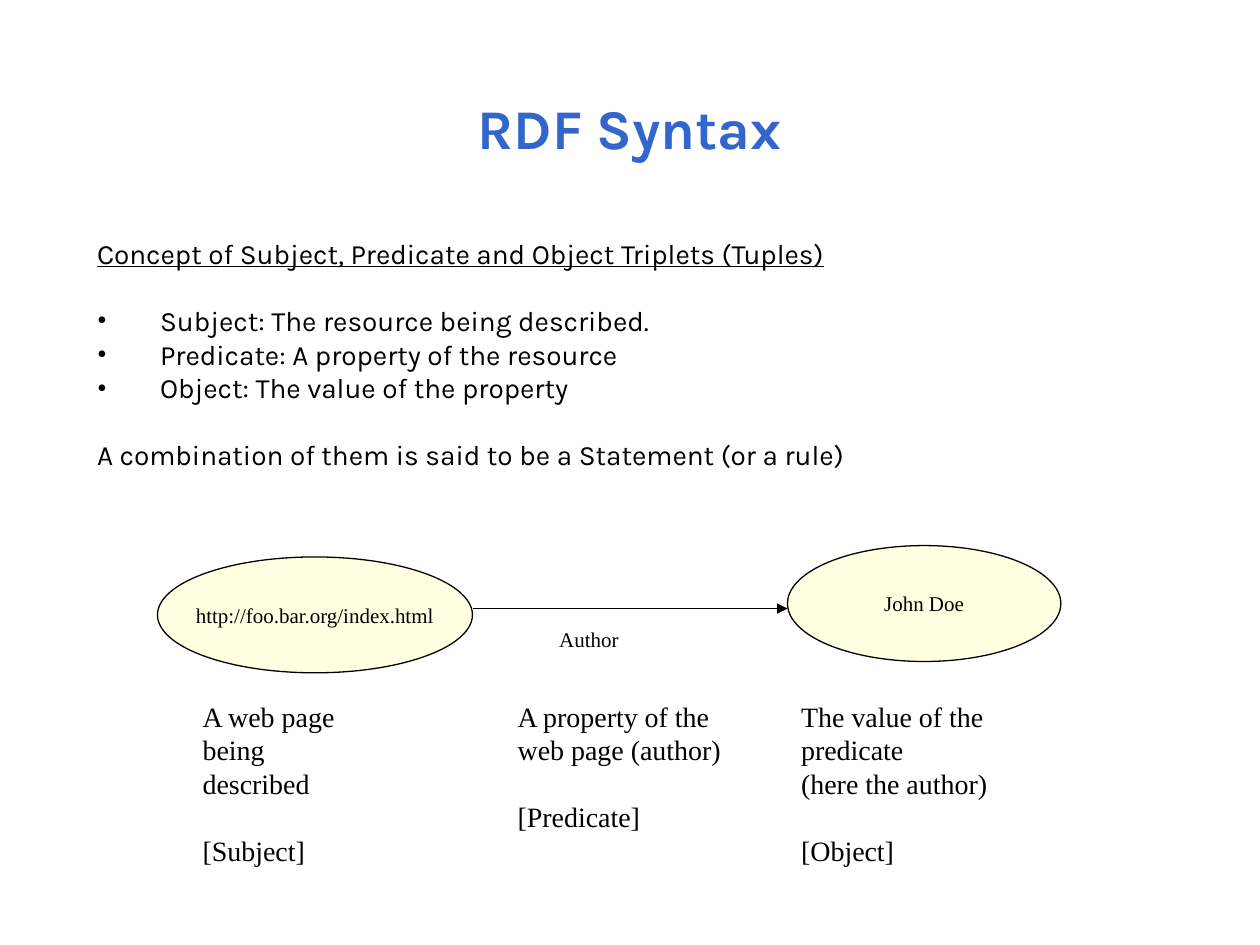
from lxml import etree
from pptx import Presentation
from pptx import util as u
from pptx.dml.color import RGBColor
from pptx.enum import shapes, text
from pptx.oxml.ns import qn

BLACK, BLUE, CREAM = "000000", "3366CC", "FFFFE1"
SANS, SERIF = "Karla", "Times New Roman"


def color(value):
    return RGBColor.from_string(value)


def set_bullet(paragraph, character=None):
    properties = paragraph._p.get_or_add_pPr()
    if character is None:
        etree.SubElement(properties, qn("a:buNone"))
        return
    bullet_color = etree.SubElement(properties, qn("a:buClr"))
    etree.SubElement(bullet_color, qn("a:srgbClr"), val=BLACK)
    etree.SubElement(properties, qn("a:buFont"), typeface=SERIF)
    etree.SubElement(properties, qn("a:buChar"), char=character)


def write(paragraph, content, size=16, font=SERIF, fill=BLACK, bold=False,
          underline=False, align=text.PP_ALIGN.LEFT, before=0):
    paragraph.alignment = align
    paragraph.space_before = u.Pt(before)
    run = paragraph.add_run()
    run.text = content
    run.font.size = u.Pt(size)
    run.font.name = font
    run.font.bold = bold
    run.font.underline = underline
    run.font.color.rgb = color(fill)


class SlideBuilder:
    line_width = u.Pt(0.75)
    gap = 19  # one line of 16 point text

    def __init__(self, slide):
        self.slide = slide

    def place(self, shape, left, top, width, height):
        shape.left, shape.top = u.Inches(left), u.Inches(top)
        shape.width, shape.height = u.Inches(width), u.Inches(height)

    def title(self, content, *box):
        shape = self.slide.shapes.title
        self.place(shape, *box)
        frame = shape.text_frame
        frame.auto_size = text.MSO_AUTO_SIZE.NONE
        frame.vertical_anchor = text.MSO_ANCHOR.MIDDLE
        write(frame.paragraphs[0], content, size=32, font=SANS, fill=BLUE,
              bold=True, align=text.PP_ALIGN.CENTER)

    def body(self, lines, *box):
        shape = self.slide.placeholders[1]
        self.place(shape, *box)
        frame = shape.text_frame
        frame.auto_size = text.MSO_AUTO_SIZE.NONE
        for index, (content, bullet, style) in enumerate(lines):
            paragraph = frame.add_paragraph() if index else frame.paragraphs[0]
            properties = paragraph._p.get_or_add_pPr()
            properties.set("marL", str(u.Inches(0.5)))
            properties.set("indent", str(-u.Inches(0.5)))
            set_bullet(paragraph, bullet)
            write(paragraph, content, font=SANS, **style)

    def ellipse(self, content, *box):
        shape = self.slide.shapes.add_shape(
            shapes.MSO_SHAPE.OVAL, *map(u.Inches, box))
        shape.shadow.inherit = False
        shape.fill.solid()
        shape.fill.fore_color.rgb = color(CREAM)
        shape.line.color.rgb = color(BLACK)
        shape.line.width = self.line_width
        frame = shape.text_frame
        frame.word_wrap = False
        frame.vertical_anchor = text.MSO_ANCHOR.MIDDLE
        write(frame.paragraphs[0], content, size=12,
              align=text.PP_ALIGN.CENTER)

    def arrow(self, *ends):
        connector = self.slide.shapes.add_connector(
            shapes.MSO_CONNECTOR.STRAIGHT, *map(u.Inches, ends))
        connector.line.color.rgb = color(BLACK)
        connector.line.width = self.line_width
        etree.SubElement(connector.line._get_or_add_ln(), qn("a:tailEnd"),
                         type="triangle")
        etree.SubElement(connector._element.spPr, qn("a:effectLst"))

    def label(self, lines, *box, size=16):
        shape = self.slide.shapes.add_textbox(*map(u.Inches, box))
        frame = shape.text_frame
        frame.word_wrap = False
        for index, (content, before) in enumerate(lines):
            paragraph = frame.add_paragraph() if index else frame.paragraphs[0]
            write(paragraph, content, size=size, before=before)


def main():
    presentation = Presentation()
    presentation.slide_width = u.Inches(10)
    presentation.slide_height = u.Inches(7.5)
    slide = presentation.slides.add_slide(presentation.slide_layouts[1])
    builder = SlideBuilder(slide)
    gap = builder.gap

    # Title and definitions
    builder.title("RDF Syntax", 0.75, 0.67, 8.5, 0.67)
    builder.body([
        ("Concept of Subject, Predicate and Object Triplets (Tuples)", None,
         {"underline": True}),
        ("Subject: The resource being described.", "•", {"before": gap}),
        ("Predicate: A property of the resource", "•", {}),
        ("Object: The value of the property", "•", {}),
        ("A combination of them is said to be a Statement (or a rule)", None,
         {"before": gap}),
    ], 0.67, 1.83, 6.5, 1.97)

    # Subject, predicate arrow and object
    builder.ellipse("http://foo.bar.org/index.html", 1.25, 4.42, 2.5, 0.92)
    builder.arrow(3.75, 4.83, 6.25, 4.83)
    builder.ellipse("John Doe", 6.25, 4.33, 2.17, 0.92)
    builder.label([("Author", 0)], 4.34, 4.92, 0.67, 0.3, size=12)

    # Explanations below the diagram
    explanations = [
        (1.51, 1.59, "A web page", "being described", "[Subject]"),
        (4.01, 1.81, "A property of the", "web page (author)", "[Predicate]"),
        (6.26, 2.51, "The value of the predicate", "(here the author)",
         "[Object]"),
    ]
    for left, width, first, second, role in explanations:
        builder.label([(first, 0), (second, 0), (role, gap)],
                      left, 5.5, width, 1.17)

    presentation.save("out.pptx")


if __name__ == "__main__":
    main()
